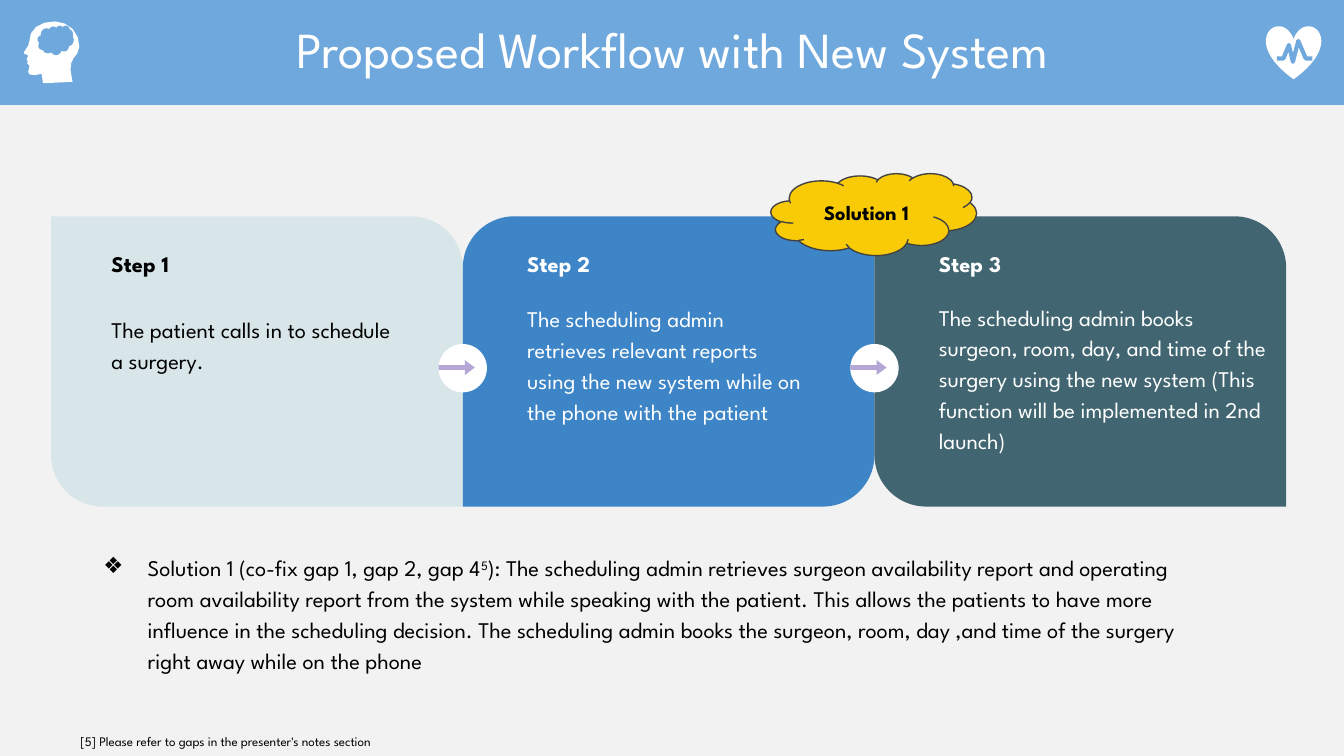
from lxml.etree import SubElement
from pptx import Presentation
from pptx.dml.color import RGBColor
from pptx.enum.shapes import MSO_SHAPE as Shape
from pptx.enum.text import MSO_ANCHOR as Anchor, PP_ALIGN as Align
from pptx.oxml.ns import qn
from pptx.util import Inches, Pt

FONT = "League Spartan"
WIDTH = 10
HEIGHT = WIDTH * 9 / 16
BAND_HEIGHT = 0.78
BAND, WHITE, BLACK = "6FA8DC", "FFFFFF", "000000"

# Step grid: three equal columns that touch
GRID_LEFT, GRID_TOP = 0.38, 1.61
GRID_WIDTH, GRID_HEIGHT = 9.19, 2.16

# label, wording, fill, ink, corner adjustments, text indent, body offset, body width
STEPS = [
    ("Step 1", "The patient calls in to schedule a surgery.",
     "D8E5E9", BLACK, (0, 0.178), 0.35, 0.61, 2.29),
    ("Step 2", "The scheduling admin retrieves relevant reports using the "
     "new system while on the phone with the patient",
     "3D85C6", WHITE, (0.178, 0), 0.38, 0.53, 2.29),
    ("Step 3", "The scheduling admin books surgeon, room, day, and time of "
     "the surgery using the new system (This function will be implemented "
     "in 2nd launch)",
     "426671", WHITE, (0, 0.178), 0.38, 0.52, 2.68),
]

SOLUTION = [
    "Solution 1 (co-fix gap 1, gap 2, gap 4", "5",
    "): The scheduling admin retrieves surgeon availability report and "
    "operating room availability report from the system while speaking with "
    "the patient. This allows the patients to have more influence in the "
    "scheduling decision. The scheduling admin books the surgeon, room, day "
    ",and time of the surgery right away while on the phone",
]

# Outlines on a grid of hundredths of an inch
HEAD = [(23, 0), (30, 1.5), (36, 5.5), (40, 12), (41, 19), (39.5, 24),
        (37, 27), (35, 31), (34.5, 36), (36, 45), (14, 46), (13, 39),
        (8, 40), (4, 39.5), (3, 37.5), (4, 33), (2, 31), (3, 30), (2, 29),
        (2, 27), (3, 26), (2.5, 25), (0, 24), (0, 22.5), (3, 18), (4, 14),
        (5, 9), (9, 4), (15, 1)]
PULSE = [(8, 24.5), (13, 24.5), (17, 14.5), (20, 27), (24, 11.5),
         (29.5, 24.5), (34.5, 24.5)]


def color(value):
    return RGBColor.from_string(value)


def add_block(slide, kind, box, fill, adjustments=()):
    block = slide.shapes.add_shape(kind, *map(Inches, box))
    block.shadow.inherit = False
    block.fill.solid()
    block.fill.fore_color.rgb = color(fill)
    block.line.fill.background()
    for index, value in enumerate(adjustments):
        block.adjustments[index] = value
    return block


def set_frame(shape, anchor=Anchor.TOP, inset=(0.1, 0.1)):
    frame = shape.text_frame
    frame.word_wrap = True
    frame.vertical_anchor = anchor
    frame.margin_left = frame.margin_right = Inches(inset[0])
    frame.margin_top = frame.margin_bottom = Inches(inset[1])
    return frame


def format_para(para, size, ink, bold=False, align=Align.LEFT, spacing=1.0, after=0):
    para.alignment = align
    para.line_spacing = spacing
    para.space_after = Pt(after)
    for span in para.runs:
        span.font.name = FONT
        span.font.size = Pt(size)
        span.font.bold = bold
        span.font.color.rgb = color(ink)


def add_text(slide, text, box, size, ink, anchor=Anchor.TOP, **style):
    frame = set_frame(slide.shapes.add_textbox(*map(Inches, box)), anchor)
    frame.text = text
    format_para(frame.paragraphs[0], size, ink, **style)


def add_outline(slide, points, left, top, closed):
    grid = [(Inches(left + x / 100), Inches(top + y / 100)) for x, y in points]
    builder = slide.shapes.build_freeform(*grid[0])
    builder.add_line_segments(grid[1:], close=closed)
    outline = builder.convert_to_shape()
    outline.shadow.inherit = False
    return outline


def add_head_icon(slide, left, top):
    head = add_outline(slide, HEAD, left, top, True)
    head.fill.solid()
    head.fill.fore_color.rgb = color(WHITE)
    head.line.fill.background()
    add_block(slide, Shape.CLOUD, (left + 0.1, top + 0.03, 0.27, 0.22), BAND)


def add_heart_icon(slide, left, top):
    add_block(slide, Shape.HEART, (left, top, 0.41, 0.4), WHITE)
    pulse = add_outline(slide, PULSE, left, top, False)
    pulse.fill.background()
    pulse.line.color.rgb = color(BAND)
    pulse.line.width = Pt(2.25)


def add_header(slide, width, height):
    add_block(slide, Shape.RECTANGLE, (0, 0, width, height), BAND)
    title = slide.shapes.title
    title.left, title.top = Inches(0.26), Inches(0.09)
    title.width, title.height = Inches(9.49), Inches(0.59)
    frame = set_frame(title, Anchor.MIDDLE, (0.07, 0.04))
    frame.text = "Proposed Workflow with New System"
    format_para(frame.paragraphs[0], 27, WHITE, align=Align.CENTER, spacing=0.9)
    title.element.getparent().append(title.element)  # in front of the band
    add_head_icon(slide, 0.18, 0.16)
    add_heart_icon(slide, 9.42, 0.19)


def add_step(slide, step, left, top, width, height):
    label, wording, fill, ink, corners, indent, body_offset, body_width = step
    add_block(slide, Shape.ROUND_2_DIAG_RECTANGLE, (left, top, width, height),
              fill, corners)
    text_left = left + indent
    add_text(slide, label, (text_left, top + 0.15, 2.29, 0.63), 12, ink, bold=True)
    add_text(slide, wording, (text_left, top + body_offset, body_width, 1.11),
             12, ink, spacing=1.15, after=16)


def add_joint(slide, center, middle):
    size = 0.36
    left = center - size / 2
    add_block(slide, Shape.OVAL, (left, middle - size / 2, size, size), WHITE)
    add_block(slide, Shape.RIGHT_ARROW, (left, middle - 0.06, 0.27, 0.11),
              "B4A7D6", (0.32, 0.67))


def add_workflow(slide, left, top, width, height):
    pitch = width / len(STEPS)
    for column, step in enumerate(STEPS):
        add_step(slide, step, left + column * pitch, top, pitch, height)
    for column in range(1, len(STEPS)):
        add_joint(slide, left + column * pitch, top + 1.13)
    # Callout over the second joint
    cloud = add_block(slide, Shape.CLOUD,
                      (left + 2 * pitch - 0.77, top - 0.32, 1.53, 0.61), "F9CB07")
    cloud.line.color.rgb = color("424242")
    cloud.line.width = Pt(0.75)
    frame = set_frame(cloud, Anchor.MIDDLE)
    frame.text = "Solution 1"
    format_para(frame.paragraphs[0], 11, BLACK, bold=True, align=Align.CENTER)


def add_solution(slide, box):
    frame = set_frame(slide.shapes.add_textbox(*map(Inches, box)), Anchor.MIDDLE)
    para = frame.paragraphs[0]
    for text in SOLUTION:
        para.add_run().text = text
    format_para(para, 12, BLACK, spacing=1.15, after=10)
    para.runs[1].font._element.set("baseline", "30000")
    # Hanging bullet
    props = para._p.get_or_add_pPr()
    props.set("marL", str(Inches(0.5)))
    props.set("indent", str(Inches(-0.33)))
    bullet_color = SubElement(props, qn("a:buClr"))
    SubElement(bullet_color, qn("a:srgbClr")).set("val", BLACK)
    SubElement(props, qn("a:buSzPts")).set("val", "1200")
    SubElement(props, qn("a:buFont")).set("typeface", FONT)
    SubElement(props, qn("a:buChar")).set("char", "❖")


def main():
    deck = Presentation()
    deck.slide_width, deck.slide_height = Inches(WIDTH), Inches(HEIGHT)
    slide = deck.slides.add_slide(deck.slide_layouts[5])
    slide.background.fill.solid()
    slide.background.fill.fore_color.rgb = color("F2F2F2")
    add_workflow(slide, GRID_LEFT, GRID_TOP, GRID_WIDTH, GRID_HEIGHT)
    add_solution(slide, (0.5, 4.12, 8.59, 0.87))
    add_text(slide, "[5] Please refer to gaps in the presenter's notes section",
             (0.5, 5.13, 8.08, 0.51), 7, BLACK, Anchor.BOTTOM, spacing=1.15)
    add_header(slide, WIDTH, BAND_HEIGHT)
    deck.save("out.pptx")


if __name__ == "__main__":
    main()
